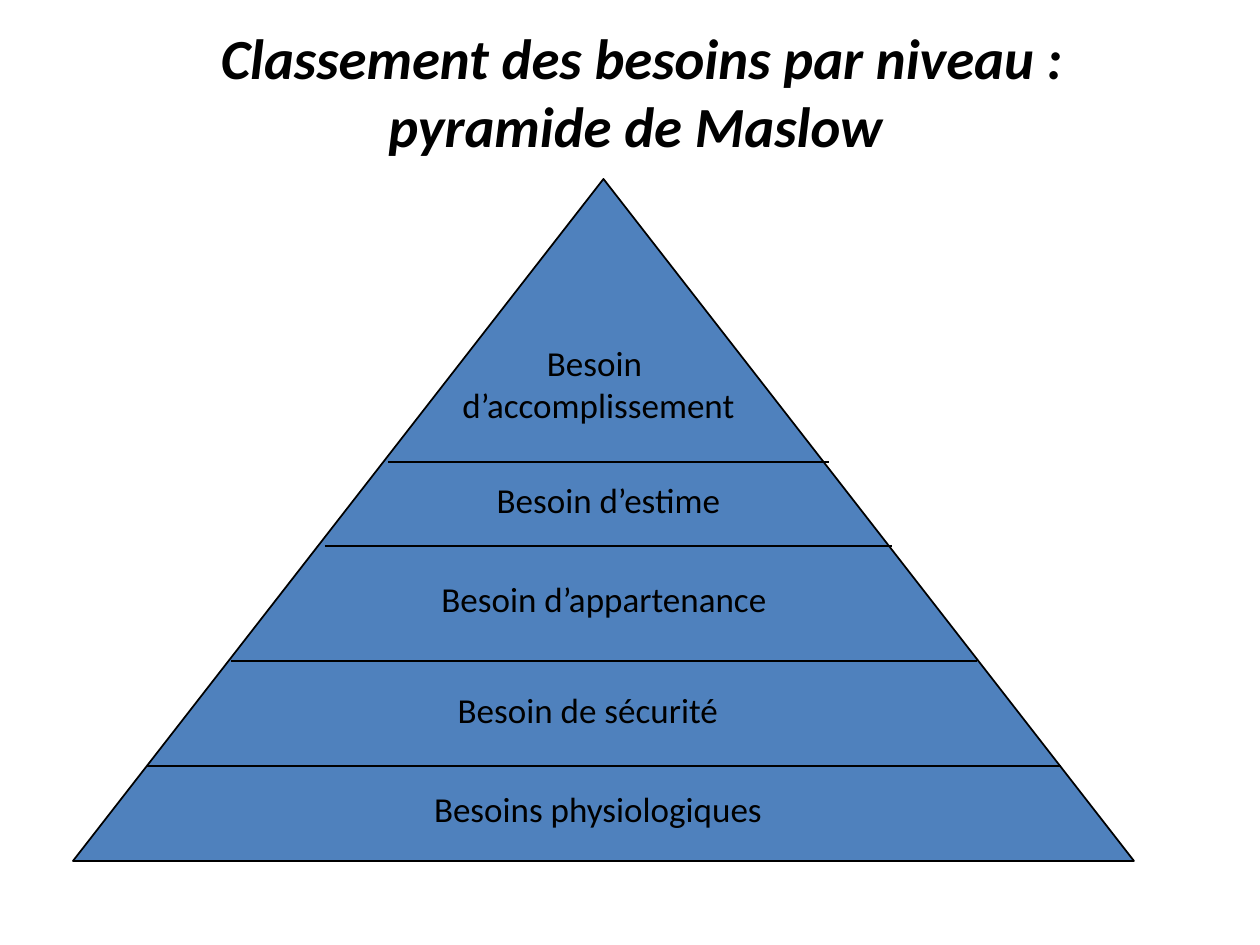
from lxml.etree import SubElement
from pptx import Presentation
from pptx.dml.color import RGBColor
from pptx.enum.shapes import MSO_CONNECTOR, MSO_SHAPE
from pptx.enum.text import MSO_ANCHOR, MSO_AUTO_SIZE, PP_ALIGN
from pptx.oxml.ns import qn
from pptx.util import Emu, Pt

PX = 914400 // 126
FONT, BLACK, BLUE = "Calibri", "000000", "4F81BD"

TITLE = ["Classement des besoins par niveau :", "pyramide de Maslow "]
TITLE_BOX = (105, 12, 1074, 157)
PYRAMID = (73, 179, 1061, 682)
# Lines of text, then left, top, width, height
LEVELS = [
    (["Besoins physiologiques"], (388, 777, 420, 63)),
    (["Besoin de sécurité"], (399, 683, 378, 53)),
    (["Besoin d’appartenance"], (420, 567, 368, 63)),
    (["Besoin d’estime"], (451, 473, 315, 53)),
    (["Besoin ", "d’accomplissement"], (483, 336, 231, 95)),
]
# Left end, right end, height on the slide
DIVIDERS = [(231, 977, 661), (147, 1061, 766), (388, 829, 462), (325, 892, 546)]


def px(*lengths):
    return [Emu(length * PX) for length in lengths]


def color(value):
    return RGBColor.from_string(value)


def add_run(paragraph, text, size, bold=False, italic=False):
    paragraph.alignment = PP_ALIGN.CENTER
    run = paragraph.add_run()
    run.text = text
    font = run.font
    font.name, font.size, font.bold, font.italic = FONT, Pt(size), bold, italic
    font.color.rgb = color(BLACK)


def outline(line):
    line.color.rgb = color(BLACK)
    line.width = Pt(1)


def add_blue_shape(slide, preset, box):
    shape = slide.shapes.add_shape(preset, *px(*box))
    shape.shadow.inherit = False
    shape.fill.solid()
    shape.fill.fore_color.rgb = color(BLUE)
    return shape


presentation = Presentation()
presentation.slide_width, presentation.slide_height = px(1260, 945)
slide = presentation.slides.add_slide(presentation.slide_layouts[5])

# Title
title = slide.shapes.title
title.left, title.top, title.width, title.height = px(*TITLE_BOX)
frame = title.text_frame
frame.word_wrap = True
frame.auto_size = MSO_AUTO_SIZE.NONE
frame.vertical_anchor = MSO_ANCHOR.MIDDLE
paragraph = frame.paragraphs[0]
for index, text in enumerate(TITLE):
    if index:
        paragraph.add_line_break()
    add_run(paragraph, text, 32.4, bold=True, italic=True)

# Pyramid
outline(add_blue_shape(slide, MSO_SHAPE.ISOSCELES_TRIANGLE, PYRAMID).line)

# Level labels
for lines, box in LEVELS:
    label = add_blue_shape(slide, MSO_SHAPE.RECTANGLE, box)
    label.line.fill.background()
    frame = label.text_frame
    frame.word_wrap = False
    frame.vertical_anchor = MSO_ANCHOR.MIDDLE
    for index, text in enumerate(lines):
        paragraph = frame.add_paragraph() if index else frame.paragraphs[0]
        add_run(paragraph, text, 20)

# Dividers between levels
for left, right, y in DIVIDERS:
    divider = slide.shapes.add_connector(MSO_CONNECTOR.STRAIGHT, *px(left, y, right, y))
    outline(divider.line)
    SubElement(divider._element.spPr, qn("a:effectLst"))

presentation.save("out.pptx")
